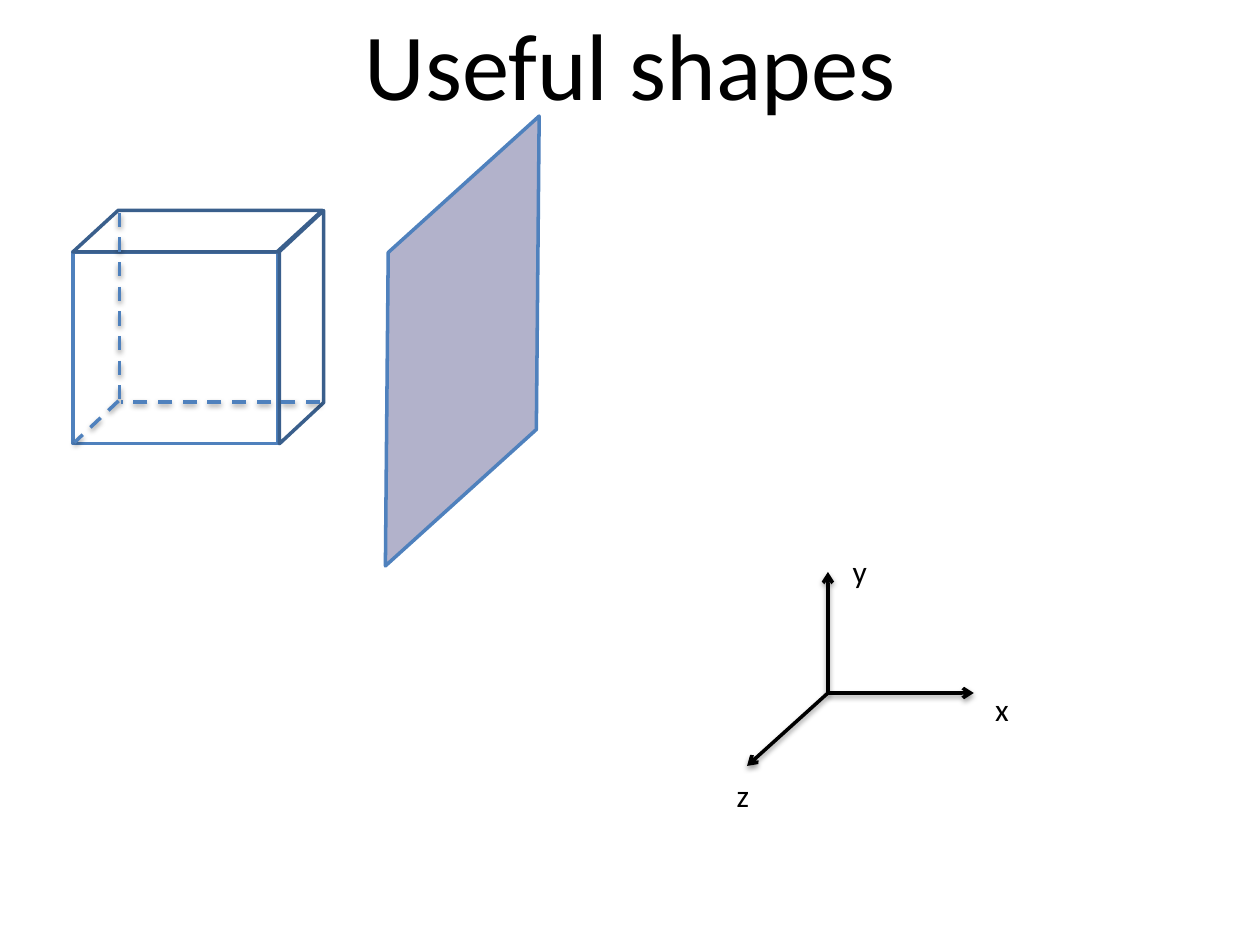
from lxml.etree import SubElement
from pptx import Presentation
from pptx.dml.color import RGBColor
from pptx.enum.dml import MSO_LINE
from pptx.enum.shapes import MSO_CONNECTOR, MSO_SHAPE
from pptx.enum.text import MSO_ANCHOR, PP_ALIGN
from pptx.oxml.ns import qn
from pptx.util import Cm, Pt

COLORS = {
    "black": "000000",
    "white": "FFFFFF",
    "blue": "4F81BD",
    "dark blue": "3A5F8C",
    "plane": "666699",
}
FONT = "Calibri"


def rgb(name):
    return RGBColor.from_string(COLORS[name])


def set_font(para, size):
    para.font.name = FONT
    para.font.size = Pt(size)
    para.font.color.rgb = rgb("black")


def add_title(page, text):
    title = page.shapes.title
    title.left, title.top, title.width, title.height = Cm(0), Cm(0), Cm(25.4), Cm(2.57)
    frame = title.text_frame
    frame.text = text
    frame.vertical_anchor = MSO_ANCHOR.TOP
    para = frame.paragraphs[0]
    para.alignment = PP_ALIGN.CENTER
    set_font(para, 54)


def add_face(shapes, preset, bounds, line, fill=None, slant=None, rotation=0):
    """Add an outlined face; slant is the parallelogram's adjustment."""
    face = shapes.add_shape(preset, *map(Cm, bounds))
    face.shadow.inherit = False
    face.line.color.rgb = rgb(line)
    face.line.width = Pt(2)
    if fill:
        face.fill.solid()
        face.fill.fore_color.rgb = rgb(fill)
    else:
        face.fill.background()
    if slant is not None:
        face.adjustments[0] = slant
    face.rotation = rotation
    return face


def set_alpha(color_element, percent):
    SubElement(color_element, qn("a:alpha"), val=str(percent * 1000))


def add_line(shapes, start, end, color):
    """Add a straight line with a soft shadow below it."""
    line = shapes.add_connector(MSO_CONNECTOR.STRAIGHT, *map(Cm, start + end))
    line.line.color.rgb = rgb(color)
    line.line.width = Pt(2)
    effects = SubElement(line._element.spPr, qn("a:effectLst"))
    shadow = SubElement(effects, qn("a:outerShdw"), blurRad=str(Pt(3.1)),
                        dist=str(Pt(1.6)), dir="5400000", rotWithShape="0")
    shade = SubElement(shadow, qn("a:srgbClr"), val=COLORS["black"])
    set_alpha(shade, 38)
    return line


def add_label(shapes, text, left, top):
    box = shapes.add_textbox(Cm(left), Cm(top), Cm(0.51), Cm(0.84))
    frame = box.text_frame
    frame.word_wrap = False
    frame.margin_right = 0
    frame.text = text
    set_font(frame.paragraphs[0], 18)


def add_plane(page):
    plane = add_face(page.shapes, MSO_SHAPE.PARALLELOGRAM, (5.13, 4.55, 8.38, 4.65),
                     "blue", "plane", slant=0.92, rotation=317.9)
    set_alpha(plane.fill._xPr.find(qn("a:solidFill"))[0], 50)


def add_axes(page):
    shapes = page.shapes.add_group_shape().shapes
    origin = (16.69, 13.97)
    axes = [
        ("y", (16.69, 11.53), (16.94, 11)),
        ("x", (19.63, 13.97), (19.81, 13.79)),
        ("z", (15.06, 15.44), (14.6, 15.52)),
    ]
    for name, tip, label_corner in axes:
        axis = add_line(shapes, origin, tip, "black")
        SubElement(axis.line._get_or_add_ln(), qn("a:tailEnd"), type="arrow")
        add_label(shapes, name, *label_corner)


def add_cube(page):
    shapes = page.shapes.add_group_shape().shapes
    add_face(shapes, MSO_SHAPE.RECTANGLE, (1.47, 5.08, 4.14, 3.86), "blue", "white")
    add_face(shapes, MSO_SHAPE.PARALLELOGRAM, (1.47, 4.24, 5.03, 0.84),
             "dark blue", slant=1.09)
    side = add_face(shapes, MSO_SHAPE.PARALLELOGRAM, (3.73, 6.15, 4.7, 0.89),
                    "dark blue", slant=0.93, rotation=90)
    side._element.spPr.xfrm.set("flipV", "1")
    hidden_edges = [
        ((2.41, 4.29), (2.41, 8.05)),
        ((6.45, 8.1), (2.44, 8.1)),
        ((2.39, 8.08), (1.5, 8.92)),
    ]
    for start, end in hidden_edges:
        add_line(shapes, start, end, "blue").line.dash_style = MSO_LINE.DASH


def main():
    deck = Presentation()
    deck.slide_width, deck.slide_height = Cm(25.4), Cm(19.05)
    page = deck.slides.add_slide(deck.slide_layouts[5])
    add_title(page, "Useful shapes")
    add_plane(page)
    add_axes(page)
    add_cube(page)
    deck.save("out.pptx")


if __name__ == "__main__":
    main()
